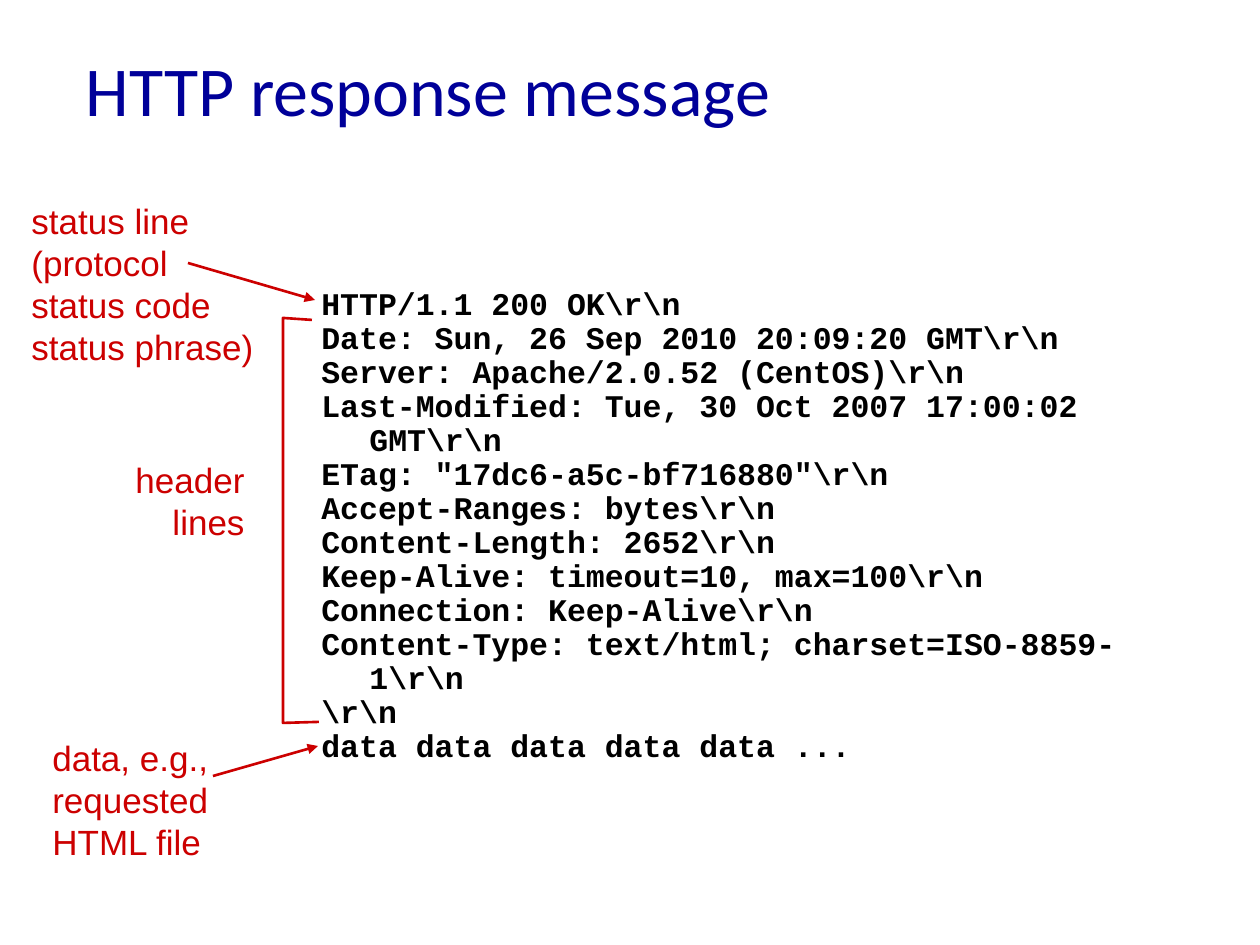
"""Build the HTTP response message slide."""
from dataclasses import dataclass

from lxml.etree import SubElement
from pptx import Presentation
from pptx.dml.color import RGBColor
from pptx.enum.shapes import MSO_CONNECTOR
from pptx.enum.text import MSO_ANCHOR, MSO_AUTO_SIZE, PP_ALIGN
from pptx.oxml.ns import qn
from pptx.util import Pt


@dataclass(frozen=True)
class Theme:
    blue: RGBColor = RGBColor(0x00, 0x00, 0x99)
    red: RGBColor = RGBColor(0xCC, 0x00, 0x00)
    black: RGBColor = RGBColor(0x00, 0x00, 0x00)
    head: Pt = Pt(40)
    note: Pt = Pt(20)
    code: Pt = Pt(18)
    rule: Pt = Pt(1.5)


theme = Theme()
PX = 914400 / 126


def px(*vals):
    return [round(val * PX) for val in vals]


def write(frame, lines, face, size, color, bold=False, align=PP_ALIGN.LEFT):
    frame.text = "\n".join(lines)
    for para in frame.paragraphs:
        para.alignment = align
        font = para.font
        font.name, font.size, font.bold = face, size, bold
        font.color.rgb = color


deck = Presentation()
deck.slide_width, deck.slide_height = px(1260, 945)
slide = deck.slides.add_slide(deck.slide_layouts[5])
shapes = slide.shapes

title = shapes.title
title.left, title.top, title.width, title.height = px(73, 21, 1071, 135)
title.text_frame.vertical_anchor = MSO_ANCHOR.MIDDLE
write(title.text_frame, ["HTTP response message"], "Calibri", theme.head, theme.blue)

notes = [
    ((19, 193, 247, 181), PP_ALIGN.LEFT,
     ["status line", "(protocol", "status code", "status phrase)"]),
    ((123, 452, 134, 97), PP_ALIGN.RIGHT, ["header", "lines"]),
    ((40, 730, 190, 139), PP_ALIGN.LEFT, ["data, e.g.,", "requested", "HTML file"]),
]
for spot, align, lines in notes:
    frame = shapes.add_textbox(*px(*spot)).text_frame
    frame.word_wrap = False
    frame.auto_size = MSO_AUTO_SIZE.SHAPE_TO_FIT_TEXT
    write(frame, lines, "Arial", theme.note, theme.red, align=align)

for ends in [(188, 263, 315, 300), (213, 776, 318, 746)]:
    arrow = shapes.add_connector(MSO_CONNECTOR.STRAIGHT, *px(*ends))
    arrow.line.color.rgb = theme.red
    arrow.line.width = theme.rule
    SubElement(arrow.line._get_or_add_ln(), qn("a:tailEnd"), type="triangle")
    SubElement(arrow._element.spPr, qn("a:effectLst"))

path = shapes.build_freeform(312, 320, scale=PX)
path.add_line_segments([(283, 318), (283, 723), (319, 722)], close=False)
brace = path.convert_to_shape()
brace.shadow.inherit = False
brace.fill.background()
brace.line.color.rgb = theme.red
brace.line.width = theme.rule

reply = [
    r"HTTP/1.1 200 OK\r\n",
    r"Date: Sun, 26 Sep 2010 20:09:20 GMT\r\n",
    r"Server: Apache/2.0.52 (CentOS)\r\n",
    r"Last-Modified: Tue, 30 Oct 2007 17:00:02 GMT\r\n",
    r'ETag: "17dc6-a5c-bf716880"\r\n',
    r"Accept-Ranges: bytes\r\n",
    r"Content-Length: 2652\r\n",
    r"Keep-Alive: timeout=10, max=100\r\n",
    r"Connection: Keep-Alive\r\n",
    r"Content-Type: text/html; charset=ISO-8859-1\r\n",
    r"\r\n",
    "data data data data data ...",
]
frame = shapes.add_textbox(*px(309, 282, 869, 489)).text_frame
frame.word_wrap = True
frame.auto_size = MSO_AUTO_SIZE.SHAPE_TO_FIT_TEXT
write(frame, reply, "Courier New", theme.code, theme.black, bold=True)
hang, = px(48)
for para in frame.paragraphs:
    para.line_spacing = 0.9
    props = para._p.get_or_add_pPr()
    props.set("marL", str(hang))
    props.set("indent", str(-hang))

deck.save("out.pptx")
